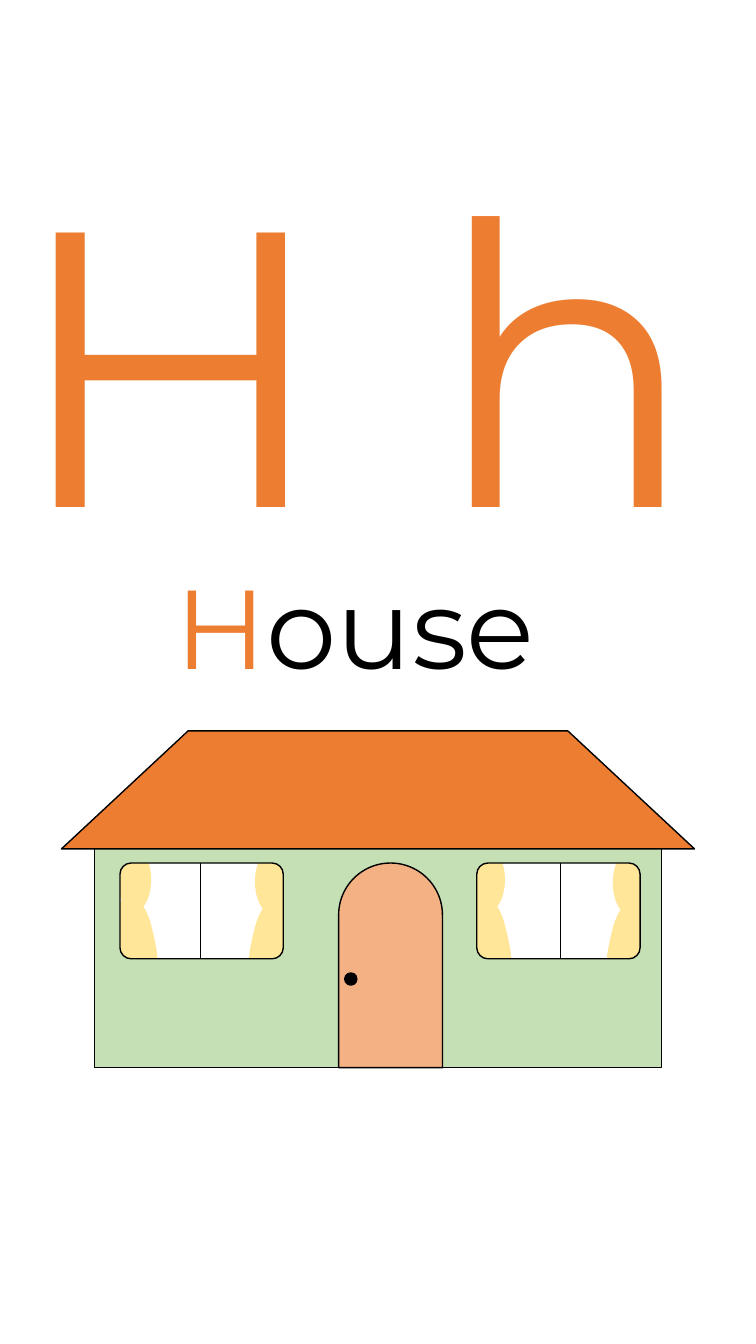
from lxml import etree
from pptx import Presentation
from pptx.dml.color import RGBColor
from pptx.enum.shapes import MSO_CONNECTOR, MSO_SHAPE
from pptx.enum.text import MSO_ANCHOR, MSO_AUTO_SIZE, PP_ALIGN
from pptx.oxml.ns import qn
from pptx.util import Inches, Pt

ELLIPSE = MSO_SHAPE.OVAL
DOOR = MSO_SHAPE.ROUND_2_SAME_RECTANGLE
ROOF = MSO_SHAPE.FLOWCHART_MANUAL_OPERATION
STRAIGHT = MSO_CONNECTOR.STRAIGHT
LEFT, TOP = PP_ALIGN.LEFT, MSO_ANCHOR.TOP
FIT_SHAPE = MSO_AUTO_SIZE.SHAPE_TO_FIT_TEXT

ORANGE = RGBColor(0xED, 0x7D, 0x31)
BLACK = RGBColor(0, 0, 0)
YELLOW = RGBColor(0xFF, 0xE6, 0x99)
GREEN = RGBColor(0xC5, 0xE0, 0xB4)
PEACH = RGBColor(0xF4, 0xB1, 0x83)

TITLE_ONLY = 5
MOVE, LINE, CURVE, CLOSE = "a:moveTo", "a:lnTo", "a:cubicBezTo", "a:close"

WALL = (0.94, 8.19, 5.62, 2.4)
WINDOW_TOP, WINDOW_WIDTH, WINDOW_HEIGHT = 8.56, 1.62, 0.95
CORNER, CORNER_PULL = 0.11, 0.05
# Each window: left edge, centre bar, and (outer edge, top, side) of its curtains
WINDOWS = [
    (1.19, 1.99, [(1.17, 8.41, 1), (2.86, 8.43, -1)]),
    (4.73, 5.56, [(4.68, 8.41, 1), (6.41, 8.44, -1)]),
]
# Lower part of a curtain: upright size, tilt, and curves around its centre
DRAPE_WIDTH, DRAPE_HEIGHT, DRAPE_TILT = 0.44, 0.96, 13.4
DRAPE_START = (-0.11, -0.17)
DRAPE_CURVES = [
    [(-0.1, -0.33), (-0.04, -0.48), (0.05, -0.48)],
    [(0.15, -0.48), (0.21, -0.34), (0.22, -0.17)],
    [(0.22, 0), (0.25, 0.53), (-0.06, 0.47)],
    [(-0.38, 0.4), (-0.13, -0.01), DRAPE_START],
]


def box_corners(left, top, width, height):
    right, bottom = left + width, top + height
    return [(left, top), (right, top), (right, bottom), (left, bottom)]


def window_steps(left):
    """Path steps of a rounded window, clockwise from its top left corner."""
    corners = box_corners(left, WINDOW_TOP, WINDOW_WIDTH, WINDOW_HEIGHT)
    directions = [(0, -1), (1, 0), (0, 1), (-1, 0)]
    steps = []
    for index, (x, y) in enumerate(corners):
        in_x, in_y = directions[index]
        out_x, out_y = directions[(index + 1) % 4]
        start = (x - CORNER * in_x, y - CORNER * in_y)
        steps.append((LINE if steps else MOVE, [start]))
        steps.append((CURVE, [
            (x - CORNER_PULL * in_x, y - CORNER_PULL * in_y),
            (x + CORNER_PULL * out_x, y + CORNER_PULL * out_y),
            (x + CORNER * out_x, y + CORNER * out_y)]))
    return steps + [(CLOSE, [])]


class Page:
    """Holds the font and the current slide."""

    def __init__(self, deck, font):
        self.slide = deck.slides.add_slide(deck.slide_layouts[TITLE_ONLY])
        self.shapes = self.slide.shapes
        self.font = font

    def fill_text(self, box, spans, size):
        frame = box.text_frame
        frame.word_wrap = True
        frame.auto_size = FIT_SHAPE
        frame.vertical_anchor = TOP
        para = frame.paragraphs[0]
        para.alignment = LEFT
        para.line_spacing = 1.0
        para.font.name = self.font
        para.font.size = Pt(size)
        for text, color in spans:
            span = para.add_run()
            span.text = text
            span.font.color.rgb = color

    def text(self, place, spans, size):
        box = self.shapes.add_textbox(*map(Inches, place))
        self.fill_text(box, spans, size)

    def title(self, place, spans, size):
        box = self.shapes.title
        box.left, box.top, box.width, box.height = map(Inches, place)
        self.fill_text(box, spans, size)

    def paint(self, shape, fill, outlined):
        shape.shadow.inherit = False
        shape.fill.solid()
        shape.fill.fore_color.rgb = fill
        if outlined:
            shape.line.color.rgb = BLACK
            shape.line.width = Pt(1)
        else:
            shape.line.fill.background()
        return shape

    def shape(self, kind, place, fill, outlined=True):
        shape = self.shapes.add_shape(kind, *map(Inches, place))
        return self.paint(shape, fill, outlined)

    def outline(self, place, steps, fill, outlined=True):
        """Draw a freeform with curves; contours inside another are holes."""
        start, *others = [(Inches(x), Inches(y)) for x, y in box_corners(*place)]
        builder = self.shapes.build_freeform(*start)
        builder.add_line_segments(others)
        shape = builder.convert_to_shape()
        outline = next(shape._element.iter(qn("a:path")))
        for child in list(outline):
            outline.remove(child)
        for kind, points in steps:
            step = etree.SubElement(outline, qn(kind))
            for x, y in points:
                etree.SubElement(step, qn("a:pt"),
                                 x=str(Inches(x - place[0])),
                                 y=str(Inches(y - place[1])))
        return self.paint(shape, fill, outlined)

    def line(self, x0, y0, x1, y1, width):
        line = self.shapes.add_connector(STRAIGHT, *map(Inches, (x0, y0, x1, y1)))
        line.line.color.rgb = BLACK
        line.line.width = Pt(width)
        etree.SubElement(line._element.spPr, qn("a:effectLst"))

    def curtain(self, edge, top, side):
        left = edge if side > 0 else edge - 0.33
        self.shape(ELLIPSE, (left, top, 0.33, 0.63), YELLOW, outlined=False)
        center_x, center_y = edge + side * 0.15, top + 0.96
        steps = [(MOVE, [DRAPE_START])] + [(CURVE, curve) for curve in DRAPE_CURVES]
        steps = [(kind, [(center_x + side * x, center_y + y) for x, y in points])
                 for kind, points in steps]
        place = (center_x - DRAPE_WIDTH / 2, center_y - DRAPE_HEIGHT / 2,
                 DRAPE_WIDTH, DRAPE_HEIGHT)
        drape = self.outline(place, steps + [(CLOSE, [])], YELLOW, outlined=False)
        drape.rotation = -DRAPE_TILT * side


def draw_house(page):
    for _, bar, curtains in WINDOWS:
        for curtain in curtains:
            page.curtain(*curtain)
        page.line(bar, WINDOW_TOP, bar, 9.54, 0.5)

    start, *others = box_corners(*WALL)
    steps = [(MOVE, [start])] + [(LINE, [corner]) for corner in others] + [(CLOSE, [])]
    for left, _, _ in WINDOWS:
        steps += window_steps(left)
    page.outline(WALL, steps, GREEN)

    door = page.shape(DOOR, (3.36, 8.56, 1.03, 2.03), PEACH)
    door.adjustments[0], door.adjustments[1] = 0.5, 0
    page.shape(ELLIPSE, (3.42, 9.65, 0.12, 0.12), BLACK)
    roof = page.shape(ROOF, (0.61, 7.25, 6.28, 1.17), ORANGE)
    roof._element.spPr.xfrm.set("flipV", "1")


def main():
    deck = Presentation()
    deck.slide_width, deck.slide_height = Inches(7.5), Inches(13.33)
    page = Page(deck, "Montserrat")
    page.text((0.02, 1.1, 7.93, 4.98), [("H h", ORANGE)], 280)
    page.title((1.64, 5.48, 4.52, 1.45), [("H", ORANGE), ("ouse", BLACK)], 80)
    draw_house(page)
    deck.save("out.pptx")


if __name__ == "__main__":
    main()
